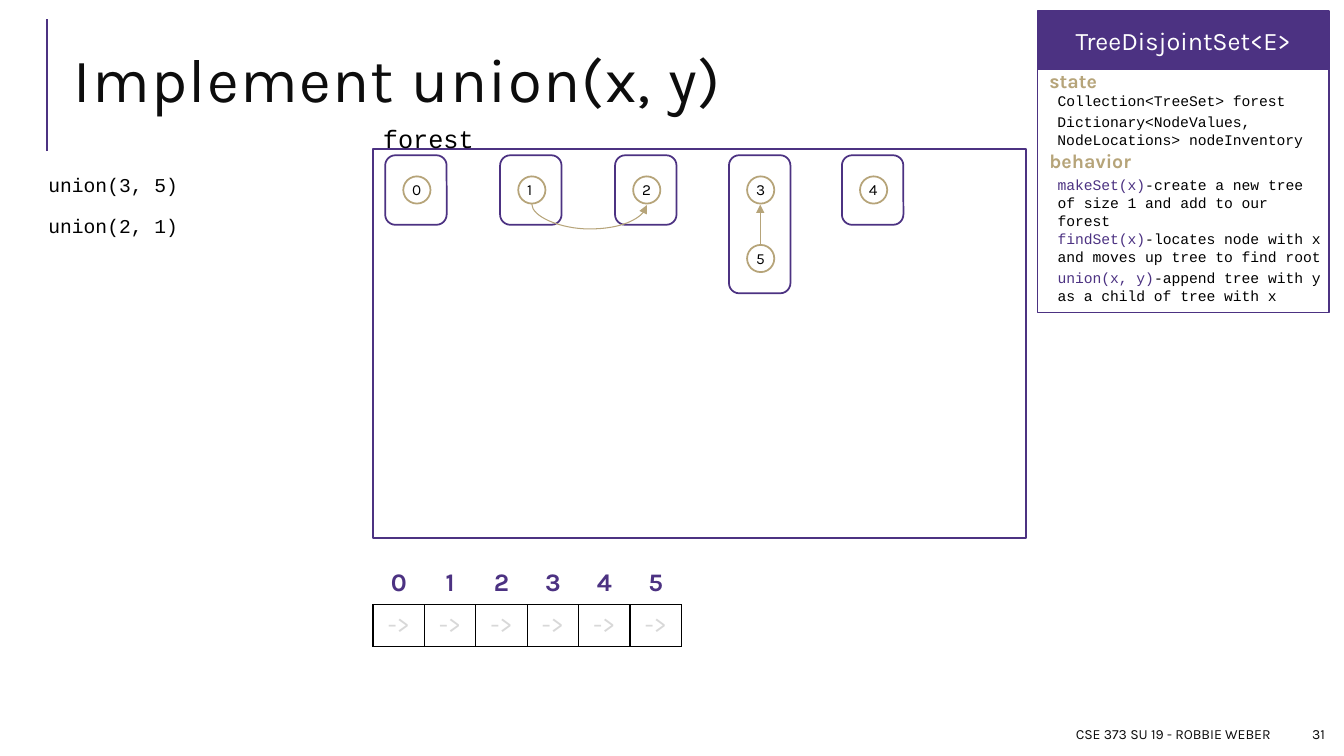
from pptx import Presentation
from pptx.dml.color import RGBColor
from pptx.enum.shapes import MSO_CONNECTOR, MSO_SHAPE
from pptx.enum.text import MSO_ANCHOR, MSO_AUTO_SIZE, PP_ALIGN
from pptx.oxml.ns import qn
from pptx.util import Inches, Pt
from lxml import etree

LEFT, CENTER, RIGHT = PP_ALIGN.LEFT, PP_ALIGN.CENTER, PP_ALIGN.RIGHT
TOP, MIDDLE = MSO_ANCHOR.TOP, MSO_ANCHOR.MIDDLE
RECT, ROUND, OVAL = MSO_SHAPE.RECTANGLE, MSO_SHAPE.ROUNDED_RECTANGLE, MSO_SHAPE.OVAL
STRAIGHT, CURVE = MSO_CONNECTOR.STRAIGHT, MSO_CONNECTOR.CURVE
PURPLE = RGBColor(0x4C, 0x32, 0x82)
GOLD = RGBColor(0xB6, 0xA4, 0x79)
BLACK = RGBColor(0, 0, 0)
INK = RGBColor(0x0D, 0x0D, 0x0D)
WHITE = RGBColor(0xFF, 0xFF, 0xFF)
GRAY = RGBColor(0xD8, 0xD8, 0xD8)
SANS, MONO = "Karla", "Courier New"

TITLE = "Implement union(x, y)"
CALLS = ["union(3, 5)", "union(2, 1)"]
TREES = [(3.82, ["0"]), (4.96, ["1"]), (6.1, ["2"]), (7.23, ["3", "5"]), (8.35, ["4"])]
INDEXES = ["0", "1", "2", "3", "4", "5"]
POINTER = "->"
CLASS_NAME = "TreeDisjointSet<E>"
HEADINGS = [("state", 0.63), ("behavior", 1.43)]
MEMBERS = [
    ("", "Collection<TreeSet> forest", 0.86, 2.58, 0.28),
    ("", "Dictionary<NodeValues, NodeLocations> nodeInventory", 1.07, 2.66, 0.45),
    ("makeSet(x)", "-create a new tree of size 1 and add to our forest", 1.7, 2.79, 0.63),
    ("findSet(x)", "-locates node with x and moves up tree to find root", 2.23, 3.05, 0.47),
    ("union(x, y)", "-append tree with y as a child of tree with x", 2.62, 2.95, 0.47),
]
FOOTERS = [("CSE 373 SU 19 - ROBBIE WEBER", 6.25, 6.45), ("31", 12.78, 0.46)]

FOREST_LEFT, FOREST_TOP = 3.7, 1.48
TREE_TOP, TREE_WIDTH, TREE_HEIGHT, LEVEL = 1.54, 0.61, 0.69, 0.68
NODE, NODE_INSET, NODE_DROP = 0.27, 0.18, 0.21
CELL_WIDTH, CELL_HEIGHT = 0.51, 0.41
CARD_LEFT, CARD_TOP, CARD_WIDTH, CARD_HEAD = 10.29, 0.11, 2.89, 0.58

deck = Presentation()
deck.slide_width, deck.slide_height = Inches(13.33), Inches(7.5)
page = deck.slides.add_slide(deck.slide_layouts[1])


def write(frame, *parts, size=18, font=SANS, color=BLACK, bold=False,
          align=LEFT, anchor=TOP, wrap=True):
    frame.word_wrap = wrap
    frame.auto_size = MSO_AUTO_SIZE.NONE
    frame.vertical_anchor = anchor
    para = frame.paragraphs[0]
    para.alignment = align
    for part in parts:
        text, tint = part if isinstance(part, tuple) else (part, color)
        span = para.add_run()
        span.text = text
        span.font.size, span.font.name, span.font.bold = Pt(size), font, bold
        span.font.color.rgb = tint
    return para


def place(item, left, top, width, height):
    item.left, item.top = Inches(left), Inches(top)
    item.width, item.height = Inches(width), Inches(height)


def label(left, top, width, height, *parts, **style):
    box = page.shapes.add_textbox(Inches(left), Inches(top), Inches(width), Inches(height))
    write(box.text_frame, *parts, **style)
    return box


def outline(kind, left, top, width, height, color=PURPLE, fill=None):
    shape = page.shapes.add_shape(kind, Inches(left), Inches(top), Inches(width), Inches(height))
    shape.shadow.inherit = False
    shape.line.color.rgb, shape.line.width = color, Pt(1.25)
    if fill is None:
        shape.fill.background()
    else:
        shape.fill.solid()
        shape.fill.fore_color.rgb = fill
    return shape


def connect(kind, x1, y1, x2, y2, color=GOLD, weight=0.75, arrow=True):
    line = page.shapes.add_connector(kind, Inches(x1), Inches(y1), Inches(x2), Inches(y2))
    line.line.color.rgb, line.line.width = color, Pt(weight)
    if arrow:
        etree.SubElement(line.line._get_or_add_ln(), qn("a:tailEnd"), type="triangle")
    etree.SubElement(line._element.spPr, qn("a:effectLst"))
    return line


def border(cell, color_by_side):
    properties = cell._tc.get_or_add_tcPr()
    for position, (side, color) in enumerate(color_by_side.items()):
        edge = etree.Element(qn("a:" + side), w=str(Pt(1)))
        fill = etree.SubElement(edge, qn("a:solidFill"))
        etree.SubElement(fill, qn("a:srgbClr"), val=str(color))
        properties.insert(position, edge)


def draw_heading():
    connect(STRAIGHT, 0.47, 1.5, 0.47, 0.19, color=PURPLE, weight=1.5, arrow=False)
    title = page.shapes.title
    place(title, 0.63, 0.29, 12.23, 1.11)
    para = write(title.text_frame, TITLE, size=44, color=INK, anchor=MIDDLE)
    para.line_spacing = 0.8
    para.runs[0].font._element.set("spc", "100")
    for text, left, width in FOOTERS:
        label(left, 7.13, width, 0.3, text, size=10, color=INK, align=RIGHT, anchor=MIDDLE)


def draw_calls():
    body = page.placeholders[1]
    place(body, 0.33, 1.69, 2.27, 3.5)
    frame = body.text_frame
    frame.word_wrap, frame.auto_size = True, MSO_AUTO_SIZE.NONE
    frame.margin_left = frame.margin_right = Inches(0.05)
    frame.margin_top = frame.margin_bottom = Inches(0.05)
    for number, call in enumerate(CALLS):
        para = frame.add_paragraph() if number else frame.paragraphs[0]
        para.line_spacing = 0.9
        para.space_before, para.space_after = Pt(12 if number else 0), Pt(2)
        properties = para._p.get_or_add_pPr()
        properties.set("marL", str(Inches(0.1)))
        properties.set("indent", str(Inches(-0.1)))
        etree.SubElement(properties, qn("a:buChar"), char=" ")
        span = para.add_run()
        span.text = call
        span.font.size, span.font.name, span.font.color.rgb = Pt(14), MONO, BLACK


def draw_forest():
    outline(RECT, FOREST_LEFT, FOREST_TOP, 6.48, 3.86)
    nodes = {}
    for left, values in TREES:
        for depth, value in enumerate(values):
            x, y = left + NODE_INSET, TREE_TOP + NODE_DROP + depth * LEVEL
            outline(OVAL, x, y, NODE, NODE, color=GOLD, fill=WHITE)
            nodes[value] = label(x - 0.01, y - 0.01, 0.28, 0.29, value, size=11)
        outline(ROUND, left, TREE_TOP, TREE_WIDTH, TREE_HEIGHT + (len(values) - 1) * LEVEL)
    label(FOREST_LEFT, 1.17, 1.11, 0.4, "forest", font=MONO, wrap=False)
    link = connect(STRAIGHT, 7.53, 2.42, 7.53, 2.03)
    link.begin_connect(nodes["5"], 0)
    link.end_connect(nodes["3"], 2)
    arc = connect(CURVE, 5.84, 1.46, 5.85, 2.6)
    frame = arc._element.spPr.find(qn("a:xfrm"))
    frame.set("rot", "16200000")
    frame.set("flipH", "1")
    guides = arc._element.spPr.find(qn("a:prstGeom")).get_or_add_avLst()
    etree.SubElement(guides, qn("a:gd"), name="adj1", fmla="val 2500000")


def draw_inventory():
    count = len(INDEXES)
    table = page.shapes.add_table(2, count, Inches(FOREST_LEFT), Inches(5.59),
                                  Inches(count * CELL_WIDTH), Inches(2 * CELL_HEIGHT)).table
    table.first_row = table.horz_banding = False
    for row in table.rows:
        row.height = Inches(CELL_HEIGHT)
    for number, index in enumerate(INDEXES):
        table.columns[number].width = Inches(CELL_WIDTH)
        rows = [(index, PURPLE, True, WHITE), (POINTER, GRAY, False, BLACK)]
        for level, (text, color, bold, edge) in enumerate(rows):
            cell = table.cell(level, number)
            cell.fill.background()
            para = cell.text_frame.paragraphs[0]
            para.alignment = CENTER
            span = para.add_run()
            span.text = text
            span.font.size, span.font.name, span.font.bold = Pt(18), SANS, bold
            span.font.color.rgb = color
            border(cell, {"lnL": edge, "lnR": edge, "lnT": edge, "lnB": BLACK})


def draw_class_card():
    outline(RECT, CARD_LEFT, CARD_TOP + CARD_HEAD, CARD_WIDTH, 2.41)
    header = outline(RECT, CARD_LEFT, CARD_TOP, CARD_WIDTH, CARD_HEAD, fill=PURPLE)
    write(header.text_frame, CLASS_NAME, color=WHITE, align=CENTER, anchor=MIDDLE)
    for text, top in HEADINGS:
        label(CARD_LEFT + 0.02, top, 2.23, 0.34, text, size=14, color=GOLD, bold=True)
    for name, detail, top, width, height in MEMBERS:
        parts = [(name, PURPLE), detail] if name else [detail]
        label(CARD_LEFT + 0.1, top, width, height, *parts, size=10.5, font=MONO)


draw_heading()
draw_calls()
draw_forest()
draw_inventory()
draw_class_card()
deck.save("out.pptx")
